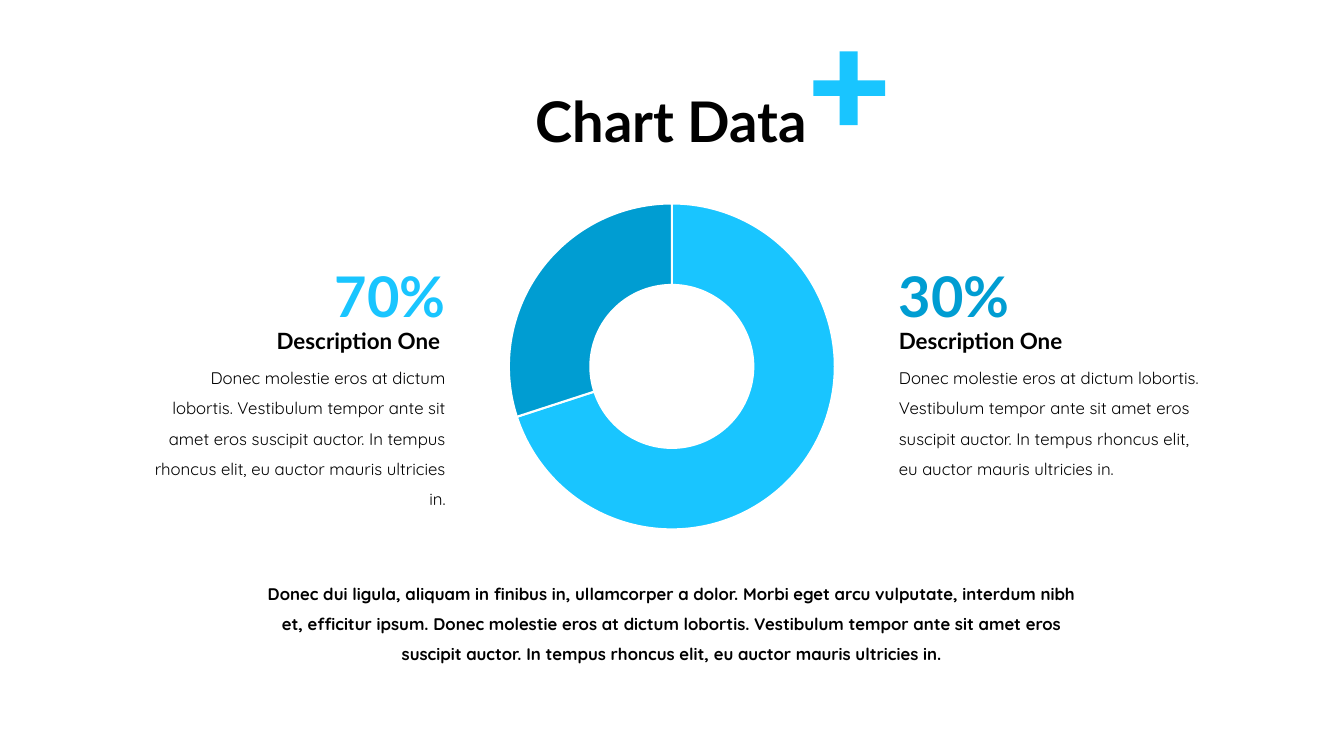
from pptx import Presentation
from pptx.chart.data import CategoryChartData as ChartData
from pptx.dml.color import RGBColor as RGB
from pptx.enum.chart import XL_CHART_TYPE as Kind
from pptx.enum.text import MSO_ANCHOR as Anchor, MSO_AUTO_SIZE as Fit, PP_ALIGN as Align
from pptx.util import Pt

HUES = {"sky": "19C5FF", "deep": "009DD2", "ink": "000000", "paper": "FFFFFF"}
HEAD, BODY = "Lato", "Quicksand"
TITLE = "Chart Data"
DESC = ("Donec molestie eros at dictum lobortis. Vestibulum tempor ante sit amet eros "
        "suscipit auctor. In tempus rhoncus elit, eu auctor mauris ultricies in.")
NOTE = ("Donec dui ligula, aliquam in finibus in, ullamcorper a dolor. "
        "Morbi eget arcu vulputate, interdum nibh et, efficitur ipsum. " + DESC)
SHARES = [("1", 70, "sky"), ("2", 30, "deep")]
SIDES = [
    (Align.RIGHT, 325.4, "70%", "sky", "Description One ", (127.4, 258.5, 223.9)),
    (Align.LEFT, 635, "30%", "deep", "Description One", (127.4, 208, 233.3)),
]
ROWS = [(159.1, 76), (220.3, 34), (252, 94.3)]
PLUS_X = (581, 599.8, 612.7, 632.2)
PLUS_Y = (36.7, 57.4, 68.6, 89.3)


def color(name):
    """Return the named colour."""
    return RGB.from_string(HUES[name])


def write(slide, text, box, size, face=BODY, bold=False, hue="ink",
          align=Align.CENTER, space=1.5):
    """Add one text box and return its frame."""
    frame = slide.shapes.add_textbox(*map(Pt, box)).text_frame
    frame.word_wrap = True
    frame.auto_size = Fit.SHAPE_TO_FIT_TEXT
    para = frame.paragraphs[0]
    para.alignment, para.line_spacing = align, space
    run = para.add_run()
    run.text = text
    font = run.font
    font.name, font.size, font.bold = face, Pt(size), bold
    font.color.rgb = color(hue)
    return frame


def add_ring(slide):
    """Add the doughnut chart."""
    data = ChartData()
    data.categories = [name for name, _, _ in SHARES]
    data.add_series("Series 1", [share for _, share, _ in SHARES])
    box = map(Pt, (290.2, 135.4, 379.4, 252.7))
    chart = slide.shapes.add_chart(Kind.DOUGHNUT, *box, data).chart
    chart.has_legend = chart.has_title = False
    chart.font.name, chart.font.size = BODY, Pt(10)
    chart.font.color.rgb = color("ink")
    plot = chart.plots[0]
    plot.vary_by_categories = True
    for hole in chart.element.xpath(".//c:holeSize"):
        hole.set("val", "75")
    for i, (_, _, hue) in enumerate(SHARES):
        form = plot.series[0].points[i].format
        form.fill.solid()
        form.fill.fore_color.rgb = color(hue)
        form.line.color.rgb = color("paper")
        form.line.width = Pt(1.5)


def add_side(slide, align, edge, share, hue, label, widths):
    """Add the share, label and description of one side."""
    parts = [(share, 40, HEAD, True, hue), (label, 16, HEAD, True, "ink"),
             (DESC, 12, BODY, False, "ink")]
    for part, wide, (top, high) in zip(parts, widths, ROWS):
        left = edge - wide if align == Align.RIGHT else edge
        text, *style = part
        write(slide, text, (left, top, wide, high), *style, align=align)


def add_plus(slide):
    """Add the plus sign beside the title."""
    a, b, c, d = map(Pt, PLUS_X)
    e, f, g, h = map(Pt, PLUS_Y)
    pen = slide.shapes.build_freeform(b, e)
    pen.add_line_segments([(c, e), (c, f), (d, f), (d, g), (c, g), (c, h),
                           (b, h), (b, g), (a, g), (a, f), (b, f)], close=True)
    plus = pen.convert_to_shape()
    plus.shadow.inherit = False
    plus.fill.solid()
    plus.fill.fore_color.rgb = color("sky")
    plus.line.fill.background()


def main():
    """Build and save the slide."""
    deck = Presentation()
    deck.slide_width, deck.slide_height = Pt(960), Pt(540)
    slide = deck.slides.add_slide(deck.slide_layouts[6])
    add_ring(slide)
    for side in SIDES:
        add_side(slide, *side)
    add_plus(slide)
    write(slide, NOTE, (176.4, 406.1, 607, 72.7), 12, bold=True)
    title = write(slide, TITLE, (296.6, 36.7, 365.8, 104.4), 40, HEAD, True, space=0.9)
    title.auto_size = Fit.NONE
    title.vertical_anchor = Anchor.MIDDLE
    deck.save("out.pptx")


if __name__ == "__main__":
    main()
